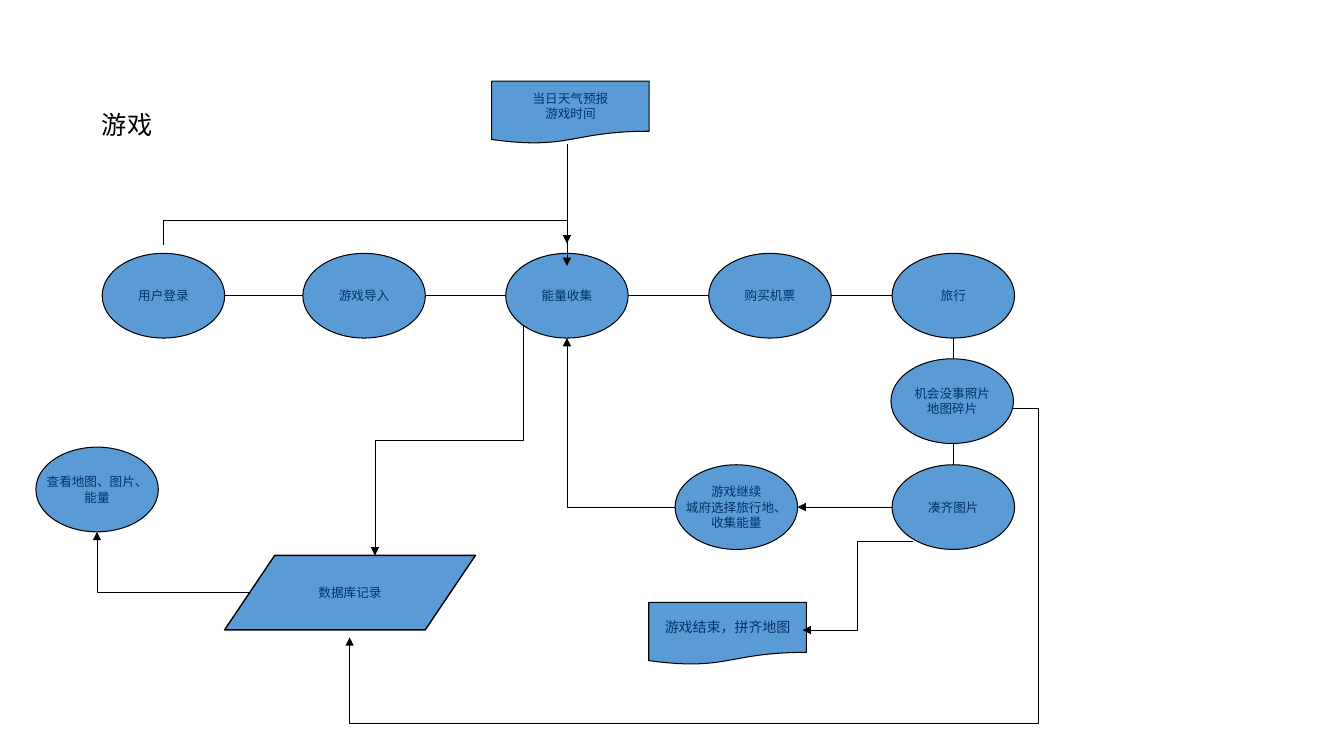
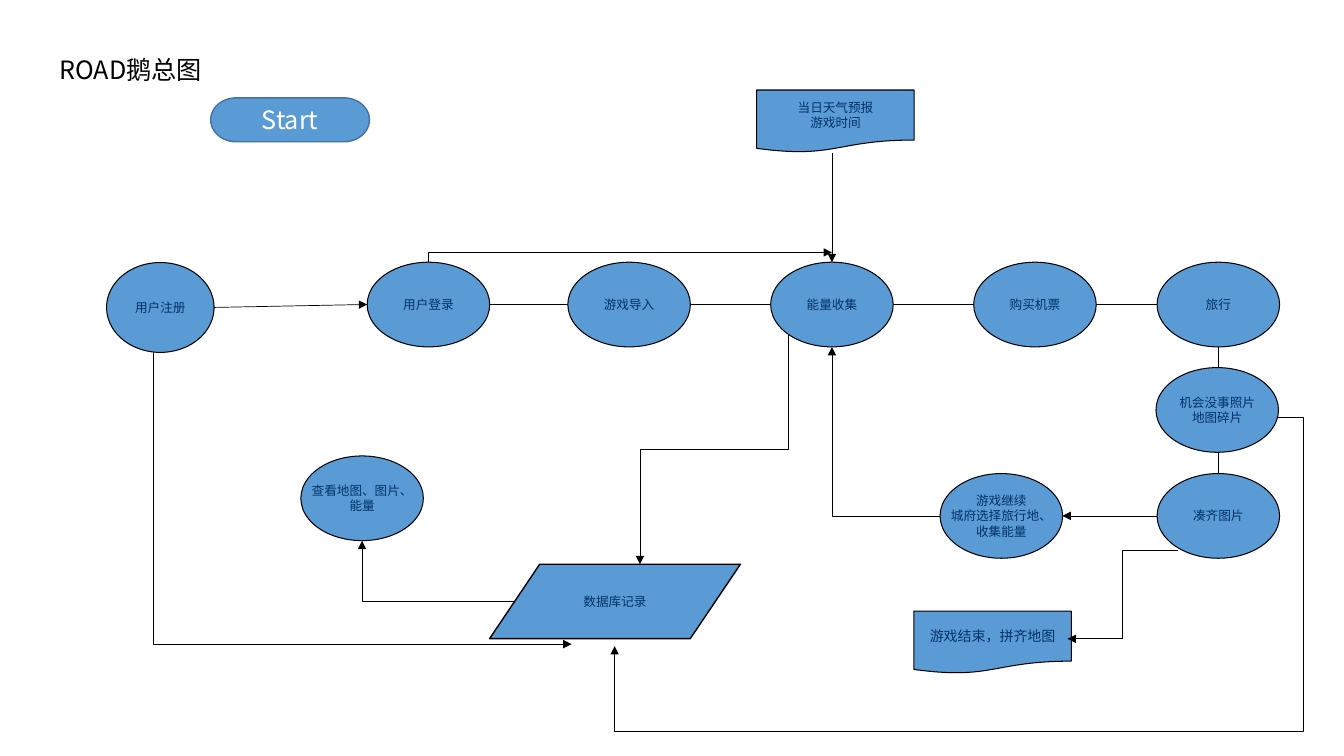
"""Build two flow charts of a travel game: the game loop and the overall map."""
from dataclasses import dataclass
from itertools import pairwise

from lxml import etree
from pptx import Presentation
from pptx import util as u
from pptx.dml.color import RGBColor
from pptx.enum import shapes, text
from pptx.oxml.ns import qn

Pt = u.Pt
Kind = shapes.MSO_SHAPE


@dataclass(frozen=True)
class Theme:
    fill: str = "5B9BD5"
    outline: str = "000000"
    start_outline: str = "43739E"
    label: str = "003366"
    title: str = "000000"
    light: str = "FFFFFF"
    label_font: str = "Arial"
    title_font: str = "Noto Sans CJK SC"
    label_size: float = 9
    ending_size: float = 10
    title_size: float = 18
    leading: float = 1.2
    connector_weight: float = 0.5


theme = Theme()


def write(shape, content, size=theme.label_size, font=theme.label_font, color=theme.label,
          align=text.PP_ALIGN.CENTER, anchor=text.MSO_ANCHOR.MIDDLE, wrap=False, insets=(7.2, 3.6)):
    frame = shape.text_frame
    frame.word_wrap = wrap
    frame.vertical_anchor = anchor
    frame.margin_left = frame.margin_right = Pt(insets[0])
    frame.margin_top = frame.margin_bottom = Pt(insets[1])
    frame.text = content
    for paragraph in frame.paragraphs:
        paragraph.alignment = align
        paragraph.line_spacing = Pt(round(size * theme.leading, 1))
        paragraph.font.size = Pt(size)
        paragraph.font.name = font
        paragraph.font.color.rgb = RGBColor.from_string(color)


def connect(slide, start, end, preset="line", turn=0, adjustments=(), head="triangle"):
    kind = shapes.MSO_CONNECTOR.STRAIGHT if preset == "line" else shapes.MSO_CONNECTOR.ELBOW
    connector = slide.shapes.add_connector(kind, *map(Pt, start + end))
    properties = connector._element.spPr
    if preset != "line":
        across, down = end[0] - start[0], end[1] - start[1]
        if turn in (90, 270):
            connector.left = Pt((start[0] + end[0] - abs(down)) / 2)
            connector.top = Pt((start[1] + end[1] - abs(across)) / 2)
            connector.width, connector.height = Pt(abs(down)), Pt(abs(across))
        flips = {0: (across < 0, down < 0), 90: (down < 0, across > 0),
                 180: (across > 0, down > 0), 270: (down > 0, across < 0)}[turn]
        transform = properties.find(qn("a:xfrm"))
        transform.set("rot", str(turn * 60000))
        for name, flipped in zip(("flipH", "flipV"), flips):
            transform.set(name, str(int(flipped)))
        geometry = properties.find(qn("a:prstGeom"))
        geometry.set("prst", preset)
        for number, value in enumerate(adjustments, 1):
            etree.SubElement(geometry.find(qn("a:avLst")), qn("a:gd"), name=f"adj{number}",
                             fmla=f"val {round(value * 100000)}")
    connector.line.width = Pt(theme.connector_weight)
    connector.line.color.rgb = RGBColor.from_string(theme.outline)
    etree.SubElement(connector.line._ln, qn("a:tailEnd"), type=head)
    etree.SubElement(properties, qn("a:effectLst"))


presentation = Presentation()
presentation.slide_width, presentation.slide_height = Pt(960), Pt(540)

ellipse_size = (87.5, 60.5)
document_size = (112.5, 44.6)
row_top, row_middle = 181, 211.2
row = [("用户登录", 73), ("游戏导入", 216.3), ("能量收集", 361.2), ("购买机票", 506.2), ("旅行", 637.2)]
row_centers = [left + ellipse_size[0] / 2 for _, left in row]
energy_x, travel_x = row_centers[2], row_centers[4]

ellipses = [(name, left, row_top) for name, left in row] + [
    ("凑齐图片", 637.2, 332),
    ("游戏继续\n城府选择旅行地、\n收集能量", 482.2, 332),
    ("机会没事照片\n地图碎片", 636.4, 256.3),
    ("查看地图、图片、\n能量", 25.6, 319.4),
]
narrow = {"insets": (7.2 * 0.7, 3.6 * 0.7)}
ending = {**narrow, "size": theme.ending_size}
database = {**narrow, "font": theme.title_font, "wrap": True}
start_label = {"size": theme.title_size, "font": theme.title_font, "color": theme.light, "wrap": True}

nodes = [(Kind.OVAL, (left, top) + ellipse_size, name, {}) for name, left, top in ellipses] + [
    (Kind.FLOWCHART_DOCUMENT, (351.2, 58) + document_size, "当日天气预报\n游戏时间", narrow),
    (Kind.FLOWCHART_DOCUMENT, (463.4, 430.2) + document_size, "游戏结束，拼齐地图", ending),
    (Kind.FLOWCHART_DATA, (160.4, 396.7, 179.2, 53.2), "数据库记录", database),
]
back_links = [((left, row_middle), (right, row_middle)) for left, right in pairwise(row_centers)]
back_links.append(((travel_x, 241.4), (travel_x, 362.2)))
front_links = [
    ((637.2, 362.2), (569.6, 362.2), "line", 0, ()),
    ((652.2, 386.7), (573.2, 450), "bentConnector3", 180, (0.5,)),
    ((482.2, 362.2), (energy_x, 241.5), "bentConnector2", 180, ()),
    ((373.8, 232.6), (267.8, 396.7), "bentConnector3", 90, (0.5,)),
    ((723.8, 291.6), (249.8, 455.2), "bentConnector4", 0, (-0.038, 1.374)),
    ((178.6, 423.3), (69.3, 379.9), "bentConnector2", 180, ()),
]

charts = [
    {
        "title": ("游戏", 65.7, 74.2, 60),
        "offset": (0, 0),
        "nodes": [],
        "links": [
            ((energy_x, 103), (energy_x, 190), "line", 0, ()),
            ((row_centers[0], 175), (energy_x, 174), "bentConnector3", 90, (18,)),
        ],
    },
    {
        "title": ("ROAD鹅总图", 35.3, 35.3, 117.4),
        "offset": (189.3, 6.3),
        "nodes": [
            (Kind.OVAL, (-113.2, 181.2, 76.8, 64.2), "用户注册", {}),
            (Kind.FLOWCHART_TERMINATOR, (-38.8, 63.6, 113.4, 31.4), "Start", start_label),
        ],
        "links": [
            ((energy_x, 103), (energy_x, row_top), "line", 0, ()),
            ((row_centers[0], row_top), (energy_x, 174), "bentConnector2", 90, ()),
            ((-36.8, 213.3), (73, row_middle), "line", 0, ()),
            ((-80, 244.8), (219, 453.8), "bentConnector2", 270, ()),
        ],
    },
]

for chart in charts:
    slide = presentation.slides.add_slide(presentation.slide_layouts[6])
    dx, dy = chart["offset"]
    title, left, top, width = chart["title"]
    box = slide.shapes.add_textbox(Pt(left), Pt(top), Pt(width), Pt(29))
    write(box, title, size=theme.title_size, font=theme.title_font, color=theme.title, wrap=True,
          align=text.PP_ALIGN.LEFT, anchor=text.MSO_ANCHOR.TOP)

    for start, end in back_links:
        connect(slide, (start[0] + dx, start[1] + dy), (end[0] + dx, end[1] + dy), head="arrow")

    for kind, (left, top, width, height), label, style in nodes + chart["nodes"]:
        shape = slide.shapes.add_shape(kind, Pt(left + dx), Pt(top + dy), Pt(width), Pt(height))
        shape.shadow.inherit = False
        shape.fill.solid()
        shape.fill.fore_color.rgb = RGBColor.from_string(theme.fill)
        is_start = kind == Kind.FLOWCHART_TERMINATOR
        shape.line.color.rgb = RGBColor.from_string(theme.start_outline if is_start else theme.outline)
        shape.line.width = Pt(1 if is_start or kind == Kind.FLOWCHART_DATA else 0.75)
        write(shape, label, **style)

    for start, end, preset, turn, adjustments in front_links + chart["links"]:
        connect(slide, (start[0] + dx, start[1] + dy), (end[0] + dx, end[1] + dy),
                preset, turn, adjustments)

presentation.save("out.pptx")
